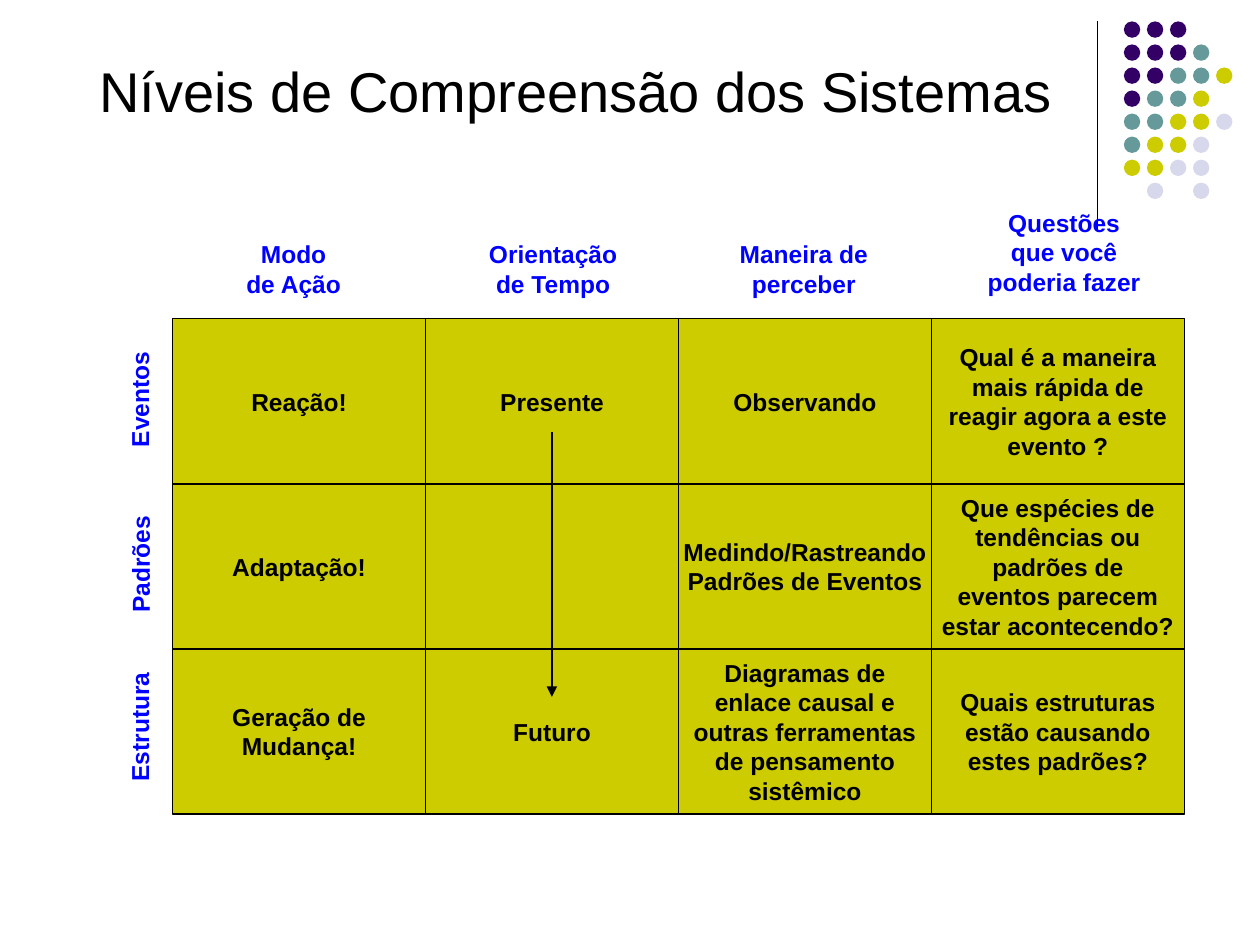
"""Build the slide on the levels of understanding of systems."""
from lxml.etree import SubElement
from pptx import Presentation
from pptx.dml.color import RGBColor
from pptx.enum.shapes import MSO_CONNECTOR, MSO_SHAPE
from pptx.enum.text import MSO_ANCHOR, MSO_AUTO_SIZE, PP_ALIGN
from pptx.oxml.ns import qn
from pptx.util import Inches, Pt

BLACK = RGBColor(0x00, 0x00, 0x00)
BLUE = RGBColor(0x00, 0x00, 0xFF)
PURPLE = RGBColor(0x33, 0x00, 0x66)
TEAL = RGBColor(0x66, 0x99, 0x99)
OLIVE = RGBColor(0xCC, 0xCC, 0x00)
LILAC = RGBColor(0xD8, 0xD8, 0xEC)

TITLE = "Níveis de Compreensão dos Sistemas"
COLUMN_HEADINGS = [
    ("Modo\nde Ação", (1.84, 1.85, 0.98, 0.57)),
    ("Orientação\nde Tempo", (3.77, 1.85, 1.24, 0.57)),
    ("Maneira de\nperceber", (5.76, 1.85, 1.24, 0.57)),
    ("Questões\nque você\npoderia fazer", (7.72, 1.6, 1.45, 0.8)),
]
LEVELS = [
    ("Eventos", (0.62, 3.0, 0.98, 0.34)),
    ("Padrões", (0.62, 4.31, 0.99, 0.34)),
    ("Estrutura", (0.56, 5.6, 1.1, 0.34)),
]
CELLS = [
    ["Reação!", "Presente", "Observando",
     "Qual é a maneira\nmais rápida de\nreagir agora a este\nevento ?"],
    ["Adaptação!", "", "Medindo/Rastreando\nPadrões de Eventos",
     "Que espécies de\ntendências ou\npadrões de\neventos parecem\nestar acontecendo?"],
    ["Geração de\nMudança!", "Futuro",
     "Diagramas de\nenlace causal e\noutras ferramentas\nde pensamento\nsistêmico",
     "Quais estruturas\nestão causando\nestes padrões?"],
]
DOT_ROWS = ["PPP", "PPPT", "PPTTO", "PTTO", "TTOOL", "TOOL", "OOLL", " L L"]
DOT_COLORS = {"P": PURPLE, "T": TEAL, "O": OLIVE, "L": LILAC}

GRID_LEFT, GRID_TOP = 1.37, 2.53
CELL_WIDTH, CELL_HEIGHT = 8.03 / 4, 1.31
DOTS_LEFT, DOTS_TOP, DOT_SIZE = 8.92, 0.17, 0.13
DOT_PITCH = 1.28 / 7

deck = Presentation()
deck.slide_width, deck.slide_height = Inches(10), Inches(7.5)
slide = deck.slides.add_slide(deck.slide_layouts[6])


def write(holder, text, size=14, color=BLACK, bold=True, align=PP_ALIGN.CENTER,
          anchor=MSO_ANCHOR.MIDDLE, wrap=False):
    frame = holder.text_frame
    frame.text = text
    frame.auto_size = MSO_AUTO_SIZE.NONE
    frame.word_wrap = wrap
    frame.vertical_anchor = anchor
    for paragraph in frame.paragraphs:
        paragraph.alignment = align
        font = paragraph.font
        font.name, font.size, font.bold = "Arial", Pt(size), bold
        font.color.rgb = color


def add_box(place):
    return slide.shapes.add_textbox(*map(Inches, place))


def add_filled(preset, place, color):
    shape = slide.shapes.add_shape(preset, *map(Inches, place))
    shape.shadow.inherit = False
    shape.fill.solid()
    shape.fill.fore_color.rgb = color
    return shape


def add_line(x, top, bottom, width):
    line = slide.shapes.add_connector(
        MSO_CONNECTOR.STRAIGHT, *map(Inches, (x, top, x, bottom)))
    line.line.color.rgb = BLACK
    line.line.width = Pt(width)
    SubElement(line._element.spPr, qn("a:effectLst"))
    return line


add_line(8.71, 0.17, 1.83, 0.75)
for row, dots in enumerate(DOT_ROWS):
    for column, key in enumerate(dots):
        if key in DOT_COLORS:
            place = (DOTS_LEFT + column * DOT_PITCH, DOTS_TOP + row * DOT_PITCH,
                     DOT_SIZE, DOT_SIZE)
            dot = add_filled(MSO_SHAPE.OVAL, place, DOT_COLORS[key])
            dot.line.fill.background()

write(add_box((0.69, 0.28, 8.96, 0.75)), TITLE, size=32, bold=False,
      align=PP_ALIGN.LEFT, anchor=MSO_ANCHOR.BOTTOM, wrap=True)

for row, answers in enumerate(CELLS):
    for column, answer in enumerate(answers):
        place = (GRID_LEFT + column * CELL_WIDTH, GRID_TOP + row * CELL_HEIGHT,
                 CELL_WIDTH, CELL_HEIGHT)
        cell = add_filled(MSO_SHAPE.RECTANGLE, place, OLIVE)
        cell.line.color.rgb = BLACK
        cell.line.width = Pt(0.75)
        if answer:
            write(cell, answer)

time_arrow = add_line(4.38, 3.43, 5.53, 1.5)
SubElement(time_arrow.line._get_or_add_ln(), qn("a:tailEnd"), type="triangle")

for labels, rotation in ((COLUMN_HEADINGS, 0), (LEVELS, 270)):
    for label, place in labels:
        heading = add_box(place)
        heading.rotation = rotation
        write(heading, label, color=BLUE, anchor=MSO_ANCHOR.TOP)

deck.save("out.pptx")
